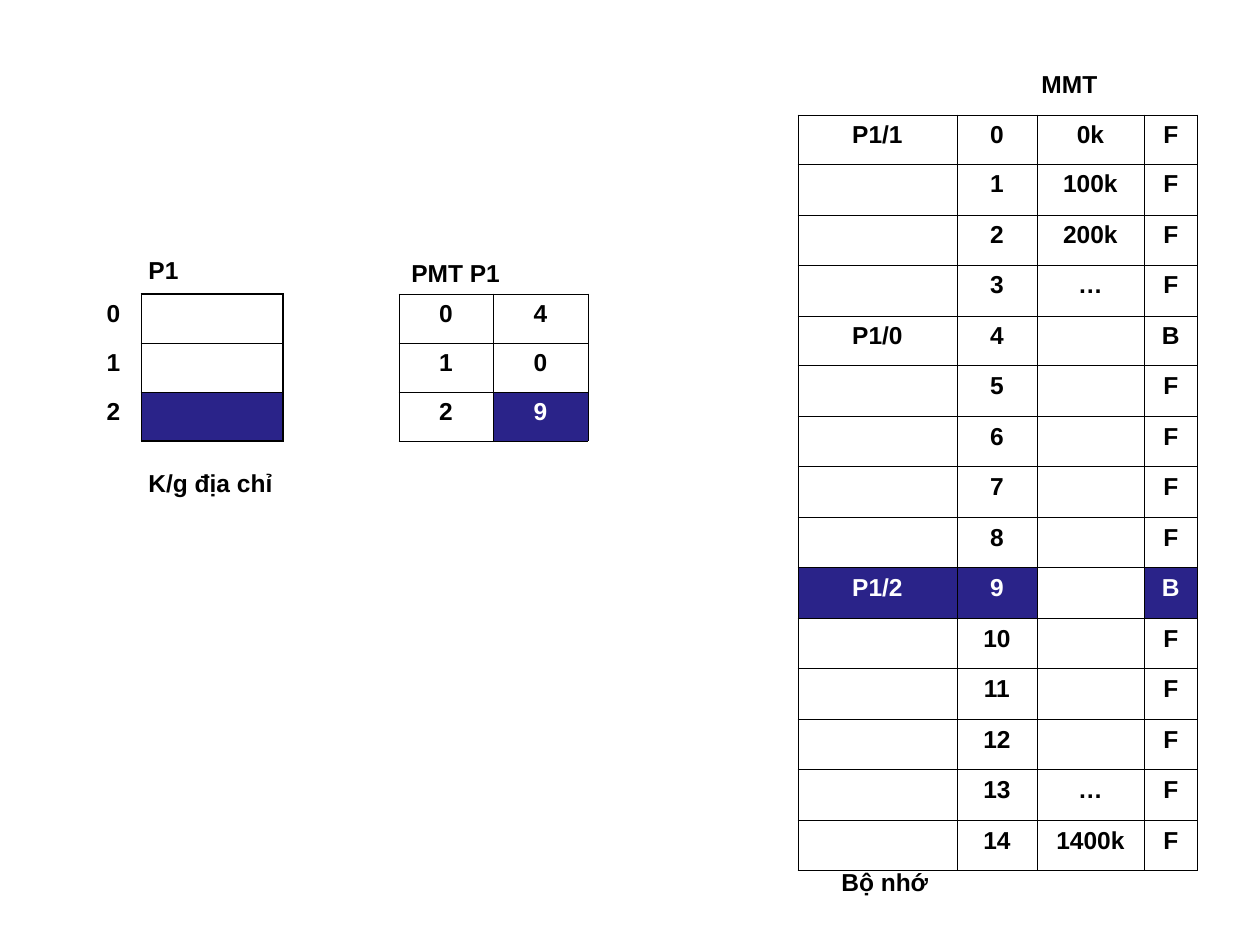
"""Build the slide that maps the pages of process P1 to memory blocks."""
from dataclasses import dataclass

from lxml.etree import SubElement
from pptx import Presentation
from pptx.dml.color import RGBColor
from pptx.enum.text import MSO_AUTO_SIZE, PP_ALIGN
from pptx.oxml.ns import qn
from pptx.util import Pt

PX = 914400 // 126


@dataclass(frozen=True)
class Theme:
    font: str = "Arial"
    size: int = 14
    ink: str = "000000"
    highlight: str = "2A2389"
    highlight_ink: str = "FFFFFF"
    thin: float = 0.45
    thick: float = 1.08


theme = Theme()


def write_text(frame, text, *, color=theme.ink, align=PP_ALIGN.LEFT, space_before=0):
    paragraph = frame.paragraphs[0]
    paragraph.alignment = align
    paragraph.space_before = Pt(space_before)
    if not text:
        SubElement(paragraph._p, qn("a:endParaRPr"), sz=str(theme.size * 100))
        return
    run = paragraph.add_run()
    run.text = text
    run.font.name = theme.font
    run.font.size = Pt(theme.size)
    run.font.bold = True
    run.font.color.rgb = RGBColor.from_string(color)


def draw_borders(cell, widths):
    properties = cell._tc.get_or_add_tcPr()
    for side in "LRTB":
        if side in widths:
            line = SubElement(properties, qn(f"a:ln{side}"), w=str(Pt(widths[side])))
            fill = SubElement(line, qn("a:solidFill"))
            SubElement(fill, qn("a:srgbClr"), val=theme.ink)


presentation = Presentation()
presentation.slide_width = 1260 * PX
presentation.slide_height = 945 * PX
slide = presentation.slides.add_slide(presentation.slide_layouts[6])

owners = {0: "P1/1", 4: "P1/0", 9: "P1/2"}
addresses = {0: "0k", 1: "100k", 2: "200k", 3: "…", 13: "…", 14: "1400k"}
busy_blocks = {4, 9}
memory_rows = [
    [owners.get(block, ""), str(block), addresses.get(block, ""),
     "B" if block in busy_blocks else "F"]
    for block in range(15)
]
memory_heights = [49] + [50 + block % 2 for block in range(1, 15)]

# is_address_space, left, top, column widths, row heights, rows, highlighted cells
tables = [
    (True, 94, 294, [47, 142], [49] * 3,
     [["0", ""], ["1", ""], ["2", ""]], {(2, 1)}),
    (False, 399, 294, [94, 95], [49] * 3,
     [["0", "4"], ["1", "0"], ["2", "9"]], {(2, 1)}),
    (False, 798, 115, [159, 80, 107, 54], memory_heights,
     memory_rows, {(9, 0), (9, 1), (9, 3)}),
]

for is_address_space, left, top, widths, heights, rows, highlighted in tables:
    table = slide.shapes.add_table(
        len(rows), len(widths), left * PX, top * PX,
        sum(widths) * PX, sum(heights) * PX).table
    table.first_row = False
    table.horz_banding = False
    for column, width in zip(table.columns, widths):
        column.width = width * PX
    for row, height in zip(table.rows, heights):
        row.height = height * PX

    for row_index, values in enumerate(rows):
        for column_index, value in enumerate(values):
            cell = table.cell(row_index, column_index)
            borders = dict.fromkeys("LRTB", theme.thin)
            if is_address_space and column_index == 0:
                borders = {"R": theme.thin}
            elif is_address_space:
                borders["R"] = theme.thick
                if row_index == 0:
                    borders["T"] = theme.thick
                if row_index == len(rows) - 1:
                    borders["B"] = theme.thick
            draw_borders(cell, borders)

            color = theme.ink
            if (row_index, column_index) in highlighted:
                color = theme.highlight_ink
                cell.fill.solid()
                cell.fill.fore_color.rgb = RGBColor.from_string(theme.highlight)
            else:
                cell.fill.background()
            align = PP_ALIGN.LEFT if is_address_space else PP_ALIGN.CENTER
            write_text(cell.text_frame, value, color=color, align=align, space_before=3.5)

labels = [
    ("P1", 136, 249, 56),
    ("PMT P1", 399, 252, 116),
    ("Bộ nhớ", 829, 861, 114),
    ("K/g địa chỉ", 136, 462, 151),
    ("MMT", 1029, 63, 82),
]
for text, left, top, width in labels:
    label = slide.shapes.add_textbox(left * PX, top * PX, width * PX, 43 * PX)
    label.text_frame.word_wrap = False
    label.text_frame.auto_size = MSO_AUTO_SIZE.SHAPE_TO_FIT_TEXT
    write_text(label.text_frame, text)

presentation.save("out.pptx")
